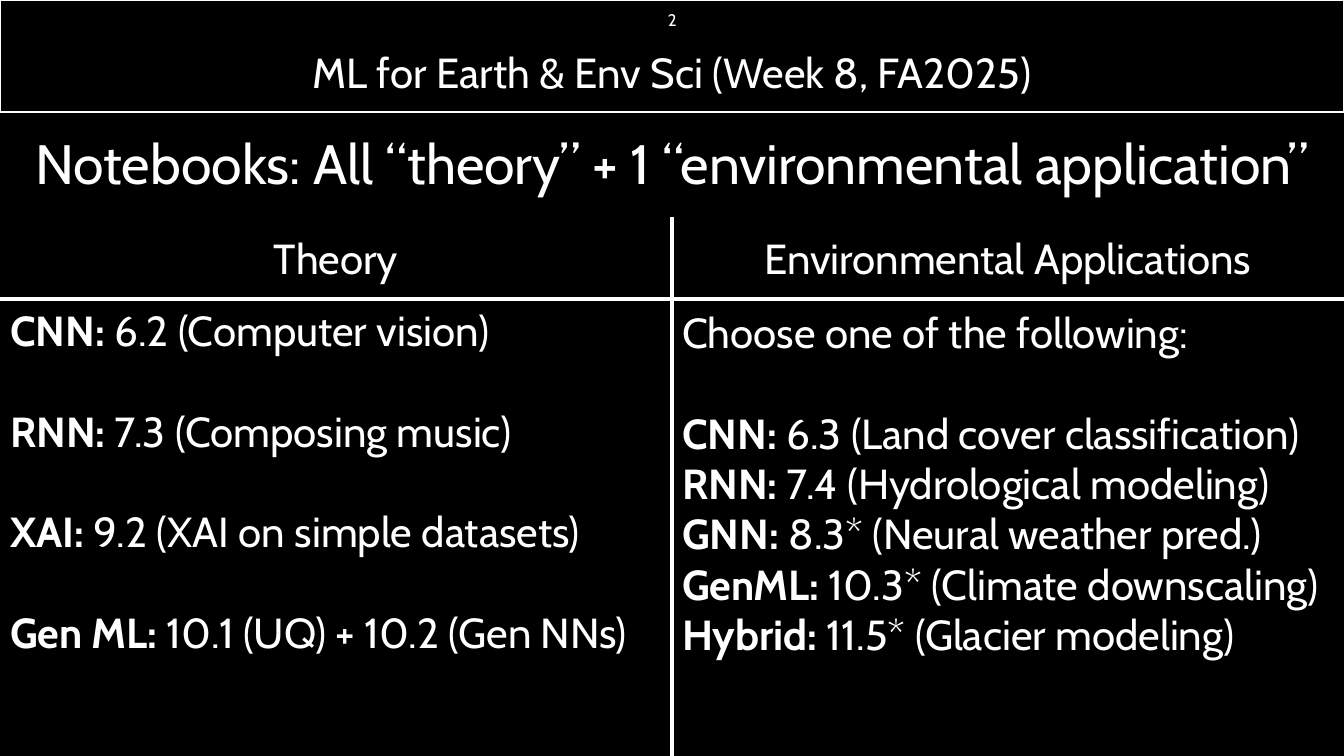
import pptx
import pptx.dml.color
import pptx.enum.shapes
import pptx.enum.text
import pptx.oxml
import pptx.util
from pptx.util import Cm

WHITE, BLACK = "FFFFFF", "000000"
WIDTH, HEIGHT = 33.87, 19.05
MIDDLE = WIDTH / 2
RULE_TOP = 7.54
LINE_GAP = 36

THEORY = [
    ("CNN: ", "6.2 (Computer vision)"),
    ("RNN: ", "7.3 (Composing music)"),
    ("XAI:", " 9.2 (XAI on simple datasets)"),
    ("Gen ML:", " 10.1 (UQ) + 10.2 (Gen NNs)"),
]
APPLICATIONS = [
    ("", "Choose one of the following:"),
    ("CNN: ", "6.3 (Land cover classification)"),
    ("RNN: ", "7.4 (Hydrological modeling)"),
    ("GNN:", " 8.3* (Neural weather pred.)"),
    ("GenML:", " 10.3* (Climate downscaling)"),
    ("Hybrid: ", "11.5* (Glacier modeling)"),
]


def rgb(value):
    """Turn a hex string into a colour."""
    return pptx.dml.color.RGBColor.from_string(value)


def place(shape, left, top, width, height):
    """Move and size a shape, in centimetres."""
    shape.left, shape.top = Cm(left), Cm(top)
    shape.width, shape.height = Cm(width), Cm(height)


def write(shape, entries, size=30, align="CENTER", anchor="TOP", spacing=1.0, gaps=()):
    """Fill a shape with (bold label, plain text) paragraphs, with gaps before the given ones."""
    frame = shape.text_frame
    frame.word_wrap = True
    frame.auto_size = pptx.enum.text.MSO_AUTO_SIZE.NONE
    frame.vertical_anchor = pptx.enum.text.MSO_ANCHOR[anchor]
    for index, entry in enumerate(entries):
        paragraph = frame.add_paragraph() if index else frame.paragraphs[0]
        paragraph.alignment = pptx.enum.text.PP_ALIGN[align]
        paragraph.line_spacing = spacing
        paragraph.space_before = pptx.util.Pt(LINE_GAP if index in gaps else 0)
        paragraph.space_after = pptx.util.Pt(0)
        properties = paragraph._p.get_or_add_pPr()
        properties.set("marL", "0")
        properties.set("indent", "0")
        properties.append(pptx.oxml.parse_xml(
            '<a:buNone xmlns:a="http://schemas.openxmlformats.org/drawingml/2006/main"/>'))
        for text, bold in zip(entry, (True, False)):
            if text:
                run = paragraph.add_run()
                run.text = text
                run.font.name = "Cabin"
                run.font.size = pptx.util.Pt(size)
                run.font.bold = bold
                run.font.color.rgb = rgb(WHITE)


def add_label(slide, text, left, top, width, height, **formatting):
    """Add a text box with one plain line."""
    label = slide.shapes.add_textbox(Cm(left), Cm(top), Cm(width), Cm(height))
    write(label, [("", text)], **formatting)


def add_banner(slide, height):
    """Add the outlined band across the top."""
    banner = slide.shapes.add_shape(
        pptx.enum.shapes.MSO_SHAPE.RECTANGLE, 0, 0, Cm(WIDTH), Cm(height))
    banner.shadow.inherit = False
    banner.fill.solid()
    banner.fill.fore_color.rgb = rgb(BLACK)
    banner.line.color.rgb = rgb(WHITE)
    banner.line.width = pptx.util.Pt(1)


def add_rule(slide, x1, y1, x2, y2):
    """Add a white dividing line without a shadow."""
    rule = slide.shapes.add_connector(
        pptx.enum.shapes.MSO_CONNECTOR.STRAIGHT, Cm(x1), Cm(y1), Cm(x2), Cm(y2))
    rule.line.color.rgb = rgb(WHITE)
    rule.line.width = pptx.util.Pt(3)
    rule._element.spPr.append(pptx.oxml.parse_xml(
        '<a:effectLst xmlns:a="http://schemas.openxmlformats.org/drawingml/2006/main"/>'))


def main():
    """Build the notebooks slide and save it."""
    deck = pptx.Presentation()
    deck.slide_width, deck.slide_height = Cm(WIDTH), Cm(HEIGHT)
    slide = deck.slides.add_slide(deck.slide_layouts.get_by_name("Comparison"))
    slide.background.fill.solid()
    slide.background.fill.fore_color.rgb = rgb(BLACK)
    title, theory_head, theory_list, applications_head, applications_list = slide.placeholders

    add_banner(slide, 2.82)
    add_label(slide, "ML for Earth & Env Sci (Week 8, FA2025)", 0, 1.04, WIDTH, 1.55)
    add_label(slide, "2", 13.13, 0, 7.62, 1.02, size=12, anchor="MIDDLE")

    place(title, 0, 2.9, WIDTH, 2.57)
    write(title, [("", "Notebooks: All “theory” + 1 “environmental application”")],
          size=39.6, anchor="MIDDLE", spacing=0.9)

    add_rule(slide, 0, RULE_TOP, WIDTH, RULE_TOP)
    add_rule(slide, MIDDLE, 5.46, MIDDLE, HEIGHT)

    columns = [
        (theory_head, "Theory", theory_list, THEORY, 0, RULE_TOP, (1, 2, 3)),
        (applications_head, "Environmental Applications", applications_list,
         APPLICATIONS, MIDDLE, 7.59, (1,)),
    ]
    for head, heading, body, notebooks, left, top, gaps in columns:
        place(head, left, 5.74, MIDDLE, 1.55)
        write(head, [("", heading)])
        place(body, left, top, MIDDLE, 9.25)
        write(body, notebooks, align="LEFT", gaps=gaps)

    deck.save("out.pptx")


if __name__ == "__main__":
    main()
